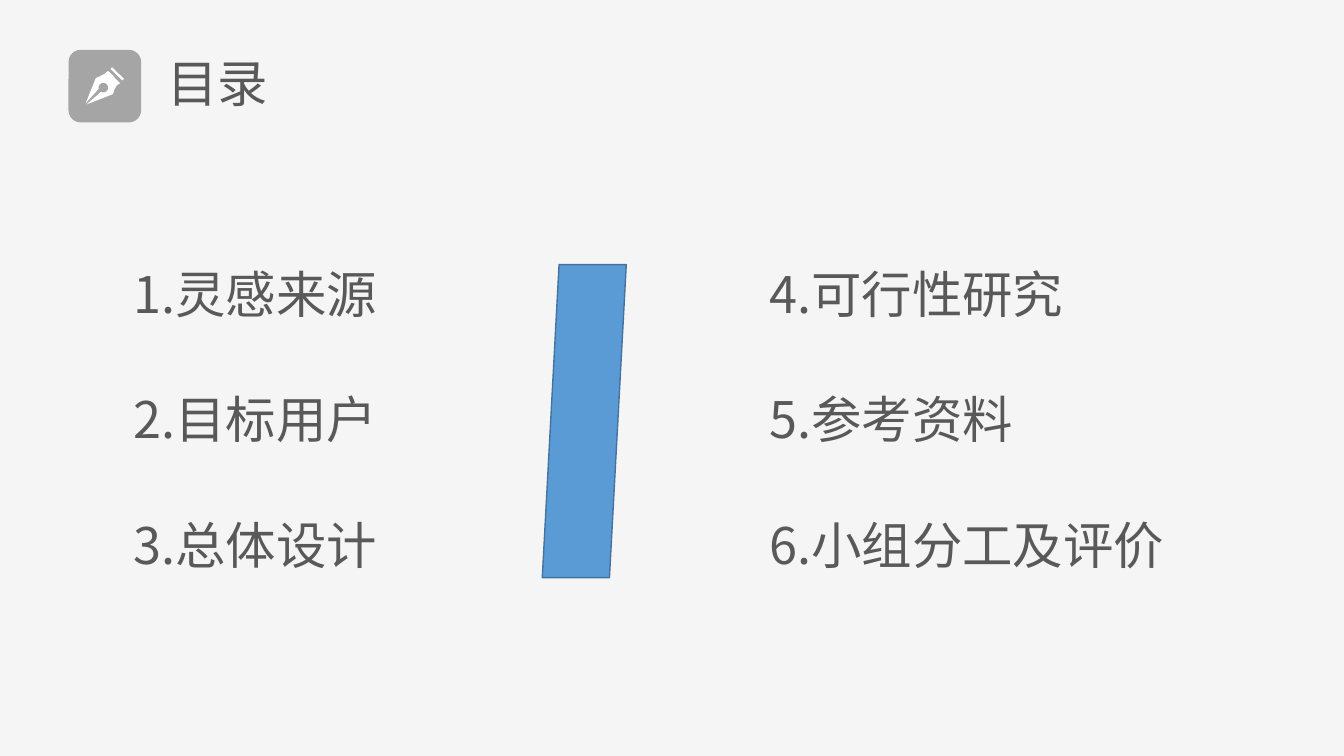
from math import cos, radians, sin

from pptx import Presentation
from pptx.dml.color import RGBColor
from pptx.enum.shapes import MSO_SHAPE as Preset
from pptx.enum.text import MSO_ANCHOR as Anchor
from pptx.oxml.ns import qn
from pptx.util import Inches, Pt

FONT = "Noto Sans CJK SC"
TEXT_FORMAT = {"name": FONT, "size": Pt(36)}
PARA_FORMAT = {"line_spacing": 0.9, "space_before": Pt(10)}


def paint(shape, fill, line=None):
    shape.shadow.inherit = False
    shape.fill.solid()
    shape.fill.fore_color.rgb = RGBColor.from_string(fill)
    if line:
        shape.line.color.rgb = RGBColor.from_string(line)
        shape.line.width = Pt(1)
    else:
        shape.line.fill.background()


def write(text, left, top, width):
    """Add one line of text; lengths are shares of the slide's size."""
    box = page.shapes.add_textbox(
        int(left * deck.slide_width), int(top * deck.slide_height),
        int(width * deck.slide_width), int(0.081 * deck.slide_height))
    frame = box.text_frame
    frame.word_wrap = True
    frame.vertical_anchor = Anchor.MIDDLE
    para = frame.paragraphs[0]
    for name, value in PARA_FORMAT.items():
        setattr(para, name, value)
    span = para.add_run()
    span.text = text
    for name, value in TEXT_FORMAT.items():
        setattr(span.font, name, value)
    span.font.color.rgb = RGBColor.from_string("595959")
    east_asian = span.font._element.makeelement(qn("a:ea"), {"typeface": FONT})
    span.font._element.append(east_asian)


# Slide and background
deck = Presentation()
deck.slide_width, deck.slide_height = Inches(13.33), Inches(7.5)
page = deck.slides.add_slide(deck.slide_layouts[6])
page.background.fill.solid()
page.background.fill.fore_color.rgb = RGBColor.from_string("F5F5F5")

# Pen icon: outlines in thousandths of the tile's side
icon = page.shapes.add_group_shape()
side = int(0.054 * deck.slide_width)
tile_left, tile_top = int(0.051 * deck.slide_width), int(0.066 * deck.slide_height)
tile = icon.shapes.add_shape(Preset.ROUNDED_RECTANGLE, tile_left, tile_top, side, side)
paint(tile, "A5A5A5")

nib_hole = [(480 + 67 * cos(radians(angle)), 520 + 67 * sin(radians(angle)))
            for angle in range(165, 481, 15)]
nib = [(640, 390), (610, 350), (545, 290), (490, 335), (375, 390), (236, 736),
       *nib_hole, (250, 750), (610, 610), (635, 540), (667, 486), (710, 460)]
pen_edge = [(600, 240), (765, 400), (740, 420), (575, 260)]
for outline in (nib, pen_edge):
    builder = icon.shapes.build_freeform(*outline[0], scale=side / 1000)
    builder.add_line_segments(outline[1:], close=True)
    paint(builder.convert_to_shape(tile_left, tile_top), "FFFFFF")

# Title
write("目录", 0.117, 0.073, 0.212)

# Slanted divider
divider = page.shapes.add_shape(
    Preset.FLOWCHART_DATA,
    int(0.4035 * deck.slide_width), int(0.35 * deck.slide_height),
    int(0.0625 * deck.slide_width), int(0.414 * deck.slide_height))
paint(divider, "5B9BD5", "43739E")

# Contents in two columns of three, numbered down each column
columns = [
    (0.092, ["灵感来源", "目标用户", "总体设计"]),
    (0.565, ["可行性研究", "参考资料", "小组分工及评价"]),
]
number = 0
for left, topics in columns:
    for row, topic in enumerate(topics):
        number += 1
        write(f"{number}.{topic}", left, 0.352 + 0.166 * row, 0.32)

deck.save("out.pptx")
